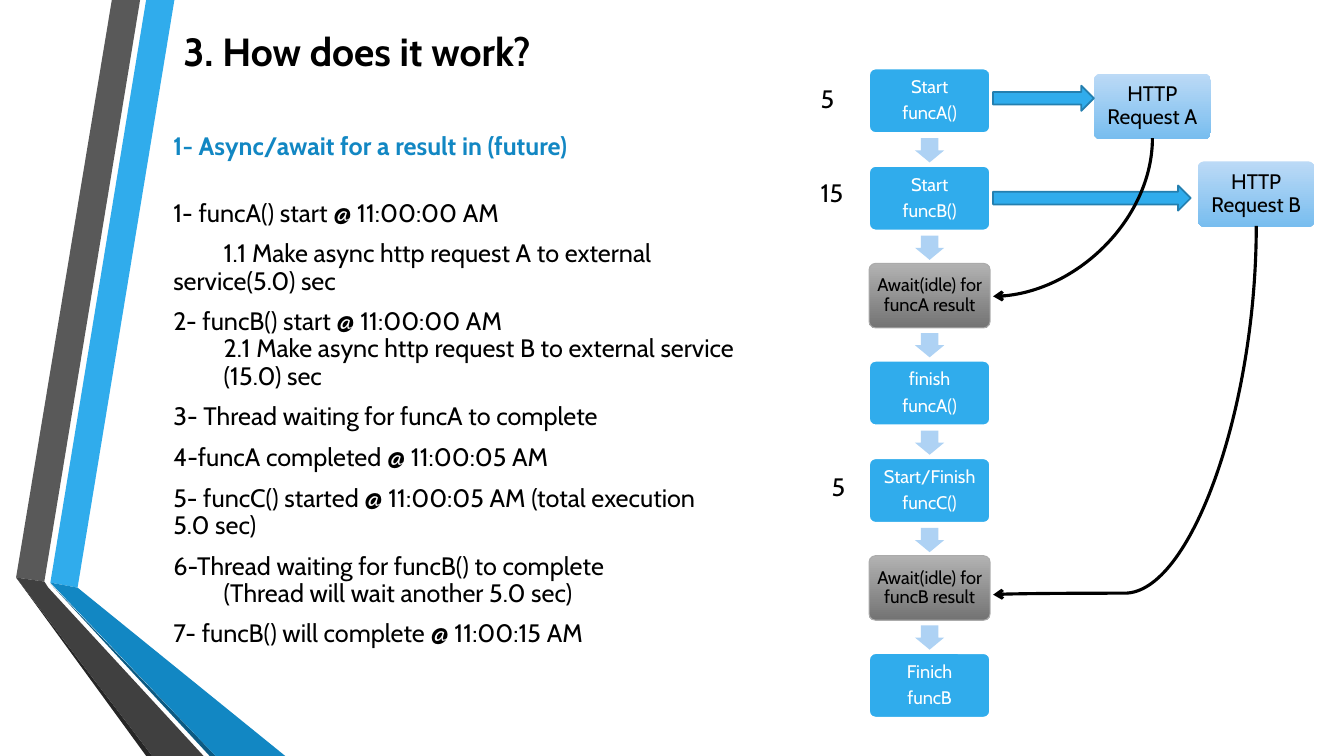
from dataclasses import dataclass

from lxml import etree
from pptx import Presentation
from pptx.dml.color import RGBColor
from pptx.enum.shapes import MSO_CONNECTOR as Link, MSO_SHAPE as Preset
from pptx.enum.text import MSO_ANCHOR as Anchor, PP_ALIGN as Align
from pptx.oxml.ns import qn
from pptx.util import Inches, Pt

FONT = "Cabin"
COLORS = {
    "black": "000000", "white": "FFFFFF", "blue": "30ACEC", "deep": "1287C3",
    "navy": "0C5A82", "slate": "595959", "charcoal": "404040", "coal": "262626",
    "pale": "AED2F4", "outline": "247FAF", "silver": "ABABAB",
    "grey top": "B2B2B2", "grey end": "737373", "sky top": "BCDAF6", "sky end": "78BDEF",
}


@dataclass
class Look:
    fill: tuple[str, ...]
    line: str | None
    line_width: float
    text: str
    size: int
    inset: float


@dataclass
class Card:
    left: float
    top: float
    width: float
    height: float
    lines: tuple[str, ...]
    look: Look


@dataclass
class Label:
    left: float
    top: float
    width: float
    height: float
    text: str
    size: int = 18
    color: str = "black"
    bold: bool = False
    wrap: bool = True
    anchor: Anchor = Anchor.TOP


@dataclass
class Curve:
    start: tuple[float, float]
    end: tuple[float, float]
    preset: str
    bend: int | None = None


STEP = Look(("blue",), "white", 1.25, "white", 13, 0.05)
IDLE = Look(("grey top", "grey end"), "silver", 0.75, "black", 13, 0.05)
REQUEST = Look(("sky top", "sky end"), None, 0, "black", 15, 0.06)

RIBBON = [
    ("blue", [(0.5, 5.78), (0.77, 5.83), (1.73, 0), (1.45, 0)]),
    ("slate", [(1.39, 0), (1.11, 0), (0.16, 5.73), (0.44, 5.77)]),
    ("coal", [(0.16, 5.73), (1.45, 7.5), (1.51, 7.5)]),
    ("navy", [(0.5, 5.79), (2.08, 7.5), (2.14, 7.5)]),
    ("deep", [(0.5, 5.78), (2.14, 7.5), (2.83, 7.5), (0.77, 5.83)]),
    ("charcoal", [(2.02, 7.5), (0.48, 5.83), (0.44, 5.77), (0.16, 5.73), (1.51, 7.5)]),
]
FLOW = [
    (STEP, ("Start", "funcA()")),
    (STEP, ("Start", "funcB()")),
    (IDLE, ("Await(idle) for funcA result",)),
    (STEP, ("finish", "funcA()")),
    (STEP, ("Start/Finish", "funcC()")),
    (IDLE, ("Await(idle) for funcB result",)),
    (STEP, ("Finich", "funcB")),
]
FLOW_LEFT, FLOW_TOP, FLOW_PITCH = 8.62, 0.68, 5.8 / 6
REQUESTS = [
    Card(10.85, 0.73, 1.16, 0.65, ("HTTP\vRequest A",), REQUEST),
    Card(11.88, 1.6, 1.16, 0.65, ("HTTP\vRequest B",), REQUEST),
]
CALLS = [(9.85, 0.85, 1, 0.25), (9.85, 1.84, 1.96, 0.25)]
RETURNS = [
    Curve((11.43, 1.37), (9.85, 2.94), "curvedConnector2"),
    Curve((12.46, 2.24), (9.85, 5.9), "curvedConnector3", 99600),
]
LABELS = [
    Label(1.62, 1.24, 5.37, 0.4, "1- Async/await for a result in (future)", color="deep", bold=True),
    Label(1.72, 0.15, 10.96, 0.7, "3. How does it work?", 28, bold=True, anchor=Anchor.MIDDLE),
    Label(8.04, 0.78, 0.37, 0.4, "5", wrap=False),
    Label(8.04, 1.71, 0.49, 0.4, "15", wrap=False),
    Label(8.15, 4.63, 0.37, 0.4, "5", wrap=False),
]
TIMELINE = [
    "1- funcA() start @ 11:00:00 AM",
    "\t1.1 Make async http request A to external \tservice(5.0) sec",
    "2- funcB() start @ 11:00:00 AM \v\t2.1 Make async http request B to external service \t(15.0) sec",
    "3- Thread waiting for funcA to complete",
    "4-funcA completed @ 11:00:05 AM",
    "5- funcC() started @ 11:00:05 AM (total execution 5.0 sec)",
    "6-Thread waiting for funcB() to complete\v\t(Thread will wait another 5.0 sec)",
    "7- funcB() will complete @ 11:00:15 AM",
]


def rgb(name: str) -> RGBColor:
    return RGBColor.from_string(COLORS[name])


def paint(shape, fill: tuple[str, ...], line: str | None = None, width: float = 0) -> None:
    """Give a shape a solid fill or a top-to-bottom gradient, and its outline."""
    shape.shadow.inherit = False
    if len(fill) == 1:
        shape.fill.solid()
        shape.fill.fore_color.rgb = rgb(fill[0])
    else:
        shape.fill.gradient()
        shape.fill.gradient_angle = 270
        for stop, name in zip(shape.fill.gradient_stops, fill):
            stop.color.rgb = rgb(name)
    if line:
        shape.line.color.rgb = rgb(line)
        shape.line.width = Pt(width)
    else:
        shape.line.fill.background()


def set_font(para, size: int, color: str, bold: bool = False) -> None:
    font = para.font
    font.name, font.size, font.bold = FONT, Pt(size), bold
    font.color.rgb = rgb(color)


def add_preset(page, preset: Preset, left: float, top: float, width: float, height: float):
    return page.shapes.add_shape(preset, Inches(left), Inches(top), Inches(width), Inches(height))


def add_ribbon_face(page, color: str, points: list[tuple[float, float]]) -> None:
    corners = [(Inches(x), Inches(y)) for x, y in points]
    builder = page.shapes.build_freeform(*corners[0])
    builder.add_line_segments(corners[1:], close=True)
    paint(builder.convert_to_shape(), (color,))


def add_card(page, card: Card) -> None:
    look = card.look
    box = add_preset(page, Preset.ROUNDED_RECTANGLE, card.left, card.top, card.width, card.height)
    box.adjustments[0] = 0.1
    paint(box, look.fill, look.line, look.line_width)
    frame = box.text_frame
    frame.word_wrap, frame.vertical_anchor = True, Anchor.MIDDLE
    frame.margin_left = frame.margin_right = Inches(look.inset)
    frame.margin_top = frame.margin_bottom = Inches(look.inset)
    frame.text = "\n".join(card.lines)
    for para in frame.paragraphs:
        para.alignment, para.line_spacing = Align.CENTER, 0.9
        para.space_after = Pt(0.35 * look.size)
        set_font(para, look.size, look.text)


def add_label(page, label: Label):
    box = page.shapes.add_textbox(*map(Inches, (label.left, label.top, label.width, label.height)))
    frame = box.text_frame
    frame.word_wrap, frame.vertical_anchor = label.wrap, label.anchor
    frame.text = label.text
    for para in frame.paragraphs:
        set_font(para, label.size, label.color, label.bold)
    return frame


def add_timeline(page) -> None:
    frame = add_label(page, Label(1.62, 1.65, 5.79, 5.12, "\n".join(TIMELINE), anchor=Anchor.MIDDLE))
    for index, para in enumerate(frame.paragraphs):
        para.line_spacing, para.space_after = 0.9, Pt(6)
        para.space_before = Pt(3.6 if index else 0)
        tabs = etree.Element(qn("a:tabLst"))
        for stop in range(1, 12):
            etree.SubElement(tabs, qn("a:tab"), pos=str(Inches(0.5 * stop)), algn="l")
        para._p.pPr.find(qn("a:defRPr")).addprevious(tabs)


def add_curve(page, curve: Curve) -> None:
    """Draw a curve that leaves downwards: its frame is turned by a quarter."""
    (x1, y1), (x2, y2) = curve.start, curve.end
    mid_x, mid_y, half_w, half_h = (x1 + x2) / 2, (y1 + y2) / 2, (y2 - y1) / 2, (x1 - x2) / 2
    link = page.shapes.add_connector(
        Link.CURVE, *map(Inches, (mid_x - half_w, mid_y - half_h, mid_x + half_w, mid_y + half_h)))
    link.line.color.rgb, link.line.width = rgb("black"), Pt(2.25)
    props = link._element.spPr
    props.find(qn("a:xfrm")).set("rot", "5400000")
    shape = props.find(qn("a:prstGeom"))
    shape.set("prst", curve.preset)
    if curve.bend:
        etree.SubElement(shape.find(qn("a:avLst")), qn("a:gd"), name="adj1", fmla=f"val {curve.bend}")
    etree.SubElement(props.find(qn("a:ln")), qn("a:tailEnd"), type="arrow")
    etree.SubElement(props, qn("a:effectLst"))


def main() -> None:
    deck = Presentation()
    deck.slide_width, deck.slide_height = Inches(13.33), Inches(7.5)
    page = deck.slides.add_slide(deck.slide_layouts[6])
    for color, points in RIBBON:
        add_ribbon_face(page, color, points)
    add_timeline(page)
    for index, (look, lines) in enumerate(FLOW):
        top = FLOW_TOP + index * FLOW_PITCH
        if index:
            arrow = add_preset(page, Preset.RIGHT_ARROW, FLOW_LEFT + 0.48, top - 0.3, 0.24, 0.29)
            arrow.rotation = 90
            arrow.adjustments[0] = 0.6
            paint(arrow, ("pale",))
        add_card(page, Card(FLOW_LEFT, top, 1.2, 0.64, lines, look))
    for card, call in zip(REQUESTS, CALLS):
        add_card(page, card)
        paint(add_preset(page, Preset.RIGHT_ARROW, *call), ("blue",), "outline", 1.25)
    for curve in RETURNS:
        add_curve(page, curve)
    for label in LABELS:
        add_label(page, label)
    deck.save("out.pptx")


if __name__ == "__main__":
    main()
